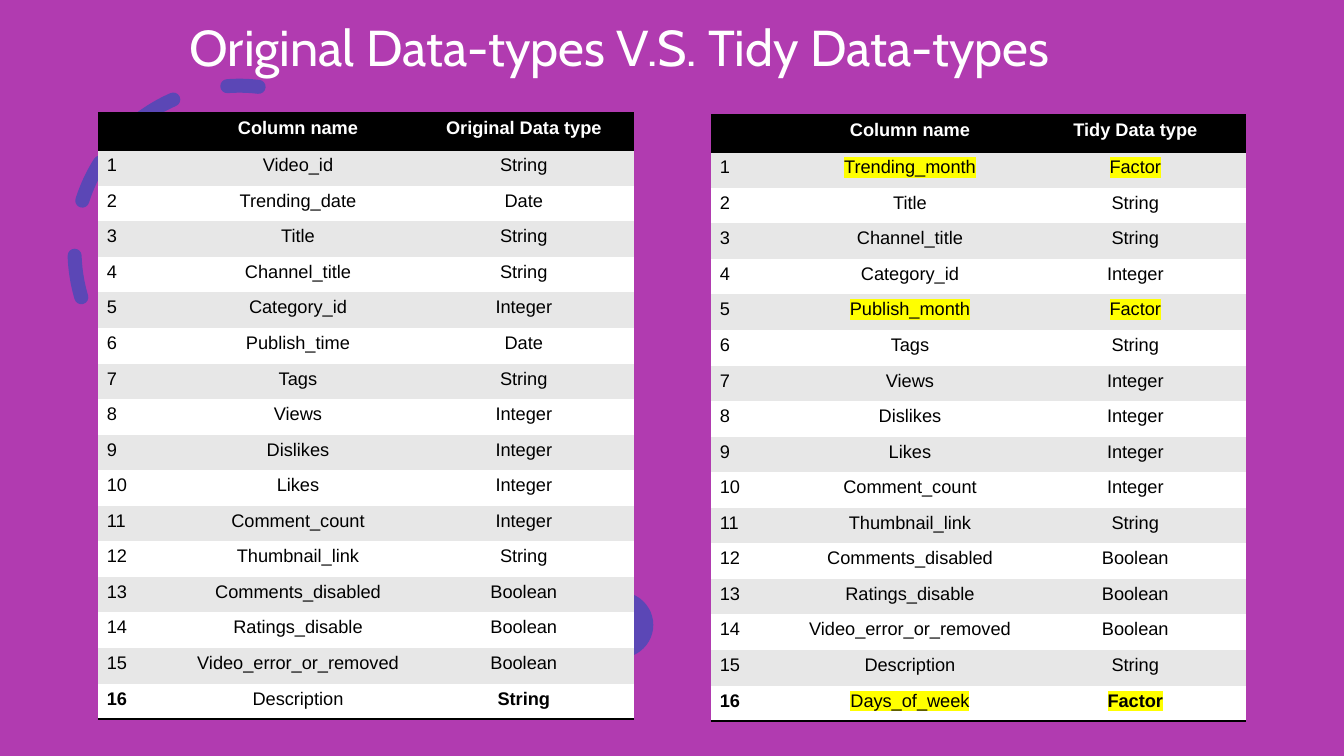
from lxml.etree import SubElement
from pptx import Presentation
from pptx.dml.color import RGBColor
from pptx.enum.dml import MSO_LINE
from pptx.enum.shapes import MSO_SHAPE
from pptx.enum.text import MSO_ANCHOR, PP_ALIGN
from pptx.oxml.ns import qn
from pptx.util import Inches, Pt

PURPLE = RGBColor(0xB1, 0x3B, 0xB0)
INDIGO = RGBColor(0x5B, 0x47, 0xB6)
BLACK = RGBColor(0x00, 0x00, 0x00)
WHITE = RGBColor(0xFF, 0xFF, 0xFF)
BAND = RGBColor(0xE7, 0xE7, 0xE7)
YELLOW = RGBColor(0xFF, 0xFF, 0x00)
NO_GRID_STYLE = "{2D5ABB26-0587-4C30-8999-92F81FD0307C}"

ORIGINAL_COLUMNS = [
    ("Video_id", "String"), ("Trending_date", "Date"), ("Title", "String"),
    ("Channel_title", "String"), ("Category_id", "Integer"), ("Publish_time", "Date"),
    ("Tags", "String"), ("Views", "Integer"), ("Dislikes", "Integer"),
    ("Likes", "Integer"), ("Comment_count", "Integer"), ("Thumbnail_link", "String"),
    ("Comments_disabled", "Boolean"), ("Ratings_disable", "Boolean"),
    ("Video_error_or_removed", "Boolean"), ("Description", "String"),
]
TIDY_COLUMNS = [
    ("Trending_month", "Factor"), ("Title", "String"), ("Channel_title", "String"),
    ("Category_id", "Integer"), ("Publish_month", "Factor"), ("Tags", "String"),
    ("Views", "Integer"), ("Dislikes", "Integer"), ("Likes", "Integer"),
    ("Comment_count", "Integer"), ("Thumbnail_link", "String"),
    ("Comments_disabled", "Boolean"), ("Ratings_disable", "Boolean"),
    ("Video_error_or_removed", "Boolean"), ("Description", "String"),
    ("Days_of_week", "Factor"),
]


class SlideBuilder:
    title_font = "Cabin"
    table_font = "Arial"
    table_size = Pt(13)
    header_height = 0.37
    table_height = 6.02

    def __init__(self, page):
        self.page = page

    def shape(self, kind, left, top, width, height, fill=None):
        shape = self.page.shapes.add_shape(
            kind, Inches(left), Inches(top), Inches(width), Inches(height))
        shape.shadow.inherit = False
        shape.line.fill.background()
        if fill is None:
            shape.fill.background()
        else:
            shape.fill.solid()
            shape.fill.fore_color.rgb = fill
        return shape

    def dashed_arc(self, left, top, size, rotation, start_angle):
        arc = self.shape(MSO_SHAPE.ARC, left, top, size, size)
        arc.rotation = rotation
        # Angles are stored in 60000ths of a degree, adjustments in 100000ths
        arc.adjustments[0] = start_angle * 0.6
        arc.adjustments[1] = 0
        arc.line.color.rgb = INDIGO
        arc.line.width = Pt(10)
        arc.line.dash_style = MSO_LINE.DASH
        arc.element.spPr.find(qn("a:ln")).set("cap", "rnd")

    def title(self, text, left, top, width, height):
        box = self.page.shapes.add_textbox(
            Inches(left), Inches(top), Inches(width), Inches(height))
        frame = box.text_frame
        frame.word_wrap = True
        frame.vertical_anchor = MSO_ANCHOR.BOTTOM
        para = frame.paragraphs[0]
        para.text = text
        para.alignment = PP_ALIGN.CENTER
        para.line_spacing = 0.9
        para.font.name = self.title_font
        para.font.size = Pt(36)
        para.font.color.rgb = WHITE

    def cell(self, cell, text, fill, color, bold, centred, marked, edges):
        """Fill one table cell; edges names the border tags drawn in black."""
        properties = cell._tc.get_or_add_tcPr()
        for edge in edges:
            border = SubElement(properties, qn(edge), w=str(Pt(2)))
            paint = SubElement(border, qn("a:solidFill"))
            SubElement(paint, qn("a:srgbClr"), val=str(BLACK))
        cell.fill.solid()
        cell.fill.fore_color.rgb = fill
        if not text:
            cell.margin_top = cell.margin_bottom = 0
            return
        cell.margin_left = cell.margin_right = Inches(0.09)
        cell.margin_top = cell.margin_bottom = Inches(0.05)
        para = cell.text_frame.paragraphs[0]
        span = para.add_run()
        span.text = text
        para.alignment = PP_ALIGN.CENTER if centred else PP_ALIGN.LEFT
        para.font.name = self.table_font
        para.font.size = self.table_size
        para.font.bold = bold
        para.font.color.rgb = color
        if marked:
            highlight = SubElement(span._r.get_or_add_rPr(), qn("a:highlight"))
            SubElement(highlight, qn("a:srgbClr"), val=str(YELLOW))

    def type_table(self, left, top, widths, type_heading, columns):
        """Numbered table of column names and types; factors are highlighted."""
        frame = self.page.shapes.add_table(
            len(columns) + 1, len(widths), Inches(left), Inches(top),
            Inches(sum(widths)), Inches(self.table_height))
        table = frame.table
        table.first_row = table.horz_banding = False
        table._tbl.tblPr.find(qn("a:tableStyleId")).text = NO_GRID_STYLE
        for column, width in zip(table.columns, widths):
            column.width = Inches(width)
        body_height = (self.table_height - self.header_height) / len(columns)
        for index, row in enumerate(table.rows):
            row.height = Inches(body_height if index else self.header_height)

        for col, text in enumerate(("", "Column name", type_heading)):
            self.cell(table.cell(0, col), text, BLACK, WHITE, True, True, False,
                      ("a:lnT", "a:lnB"))
        for number, (name, kind) in enumerate(columns, start=1):
            last = number == len(columns)
            for col, text in enumerate((str(number), name, kind)):
                self.cell(table.cell(number, col), text,
                          fill=BAND if number % 2 else WHITE, color=BLACK,
                          bold=last and col != 1, centred=col > 0,
                          marked=col > 0 and kind == "Factor",
                          edges=("a:lnB",) if last else ())


def main():
    deck = Presentation()
    deck.slide_width, deck.slide_height = Inches(13.33), Inches(7.5)
    builder = SlideBuilder(deck.slides.add_slide(deck.slide_layouts[6]))
    builder.shape(MSO_SHAPE.RECTANGLE, 0, 0, 13.33, 7.5, PURPLE)
    builder.dashed_arc(0.74, 0.85, 3.27, rotation=276.7, start_angle=144.55)
    builder.title("Original Data-types V.S. Tidy Data-types", 1.5, 0.3, 9.29, 0.52)
    builder.shape(MSO_SHAPE.OVAL, 5.81, 5.87, 0.67, 0.66, INDIGO)
    builder.type_table(7.05, 1.14, (0.84, 2.27, 2.2), "Tidy Data type", TIDY_COLUMNS)
    builder.type_table(0.97, 1.12, (0.84, 2.29, 2.19), "Original Data type",
                       ORIGINAL_COLUMNS)
    deck.save("out.pptx")


if __name__ == "__main__":
    main()
